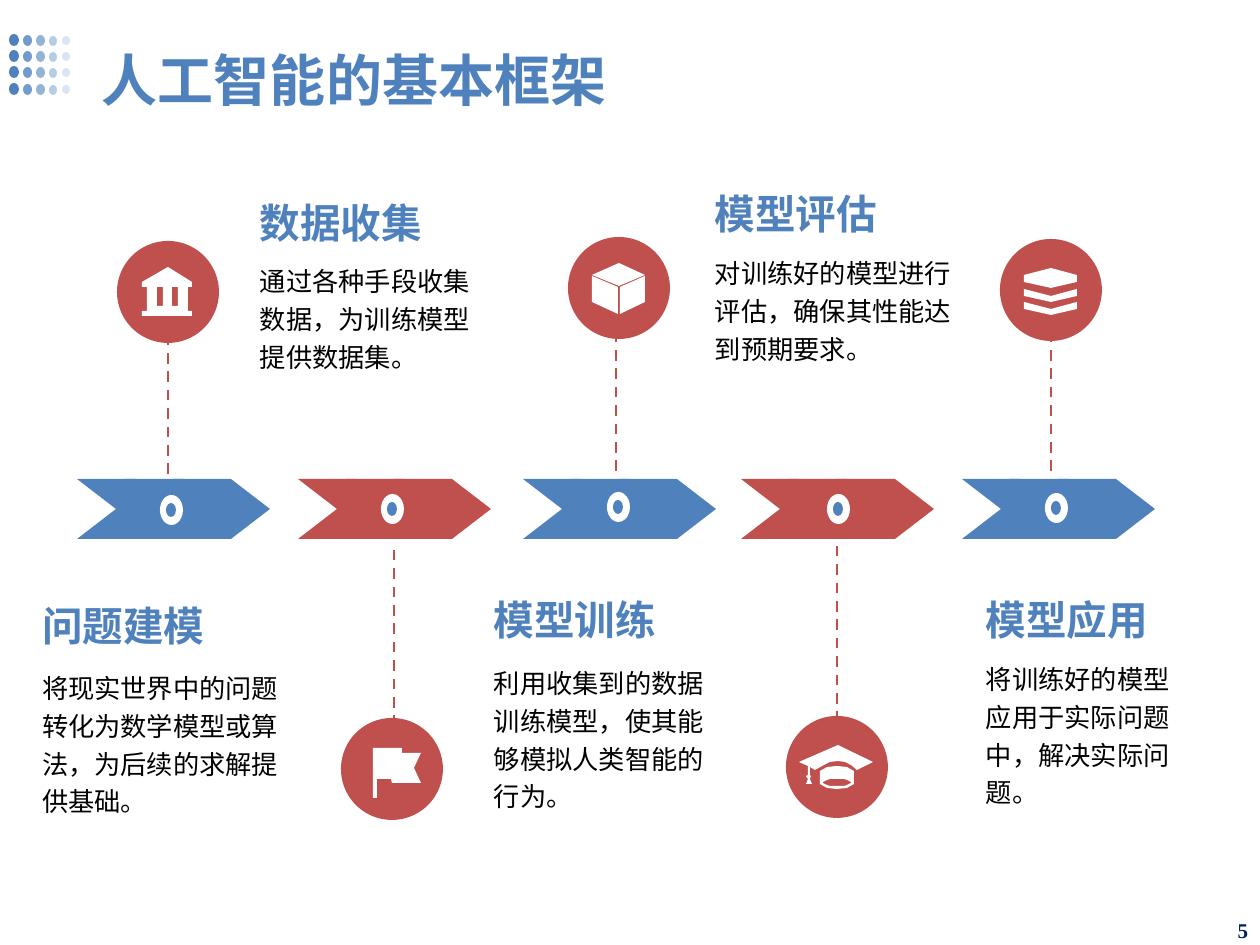
from math import cos, pi, sin

from pptx import Presentation
from pptx.dml.color import RGBColor
from pptx.enum.dml import MSO_LINE
from pptx.enum.shapes import MSO_CONNECTOR, MSO_SHAPE
from pptx.enum.text import MSO_ANCHOR, MSO_AUTO_SIZE, PP_ALIGN
from pptx.oxml.xmlchemy import OxmlElement
from pptx.util import Inches, Pt

PX = 7257  # EMU in one px, 126 px to the inch
BLUE, RED, WHITE, BLACK, NAVY = "4F81BD", "C0504D", "FFFFFF", "000000", "002060"
SANS = "Noto Sans CJK SC"

presentation = Presentation()
presentation.slide_width, presentation.slide_height = Inches(10), Inches(7.5)
slide = presentation.slides.add_slide(presentation.slide_layouts[6])
shapes = slide.shapes


def paint(shape, color, opacity=100):
    """Give the shape a plain fill with no line and no shadow."""
    shape.shadow.inherit = False
    shape.line.fill.background()
    shape.fill.solid()
    shape.fill.fore_color.rgb = RGBColor.from_string(color)
    if opacity < 100:
        alpha = OxmlElement("a:alpha")
        alpha.set("val", str(opacity * 1000))
        shape.fill._xPr.solidFill[0].append(alpha)


def add_text(box, text, size, color, bold=False, spacing=1.2, font_name=SANS,
             insets=(18, 18, 8, 18)):
    shape = shapes.add_textbox(*[value * PX for value in box])
    frame = shape.text_frame
    frame.word_wrap = True
    frame.margin_left, frame.margin_top, frame.margin_right, frame.margin_bottom = [
        inset * PX for inset in insets]
    paragraph = frame.paragraphs[0]
    paragraph.text = text
    paragraph.line_spacing = spacing
    font = paragraph.font
    font.size, font.bold, font.name = Pt(size), bold, font_name
    font.color.rgb = RGBColor.from_string(color)
    east_asian = OxmlElement("a:ea")
    east_asian.set("typeface", font_name)
    font._rPr.append(east_asian)
    return frame


# Page number and title
number_frame = add_text((977, 917, 284, 28), "5", 12, NAVY, True, 1.0,
                        "Times New Roman", (13, 5, 13, 6))
number_frame.vertical_anchor = MSO_ANCHOR.MIDDLE
number_frame.paragraphs[0].alignment = PP_ALIGN.RIGHT
add_text((84, 1, 1176, 120), "人工智能的基本框架", 32, BLUE, True, 1.4)

# Fading grid of dots
dot_columns = [(9, 34, 10, 12), (23, 35, 9, 11), (36, 35, 9, 11), (49, 36, 8, 10), (62, 36, 8, 9)]
for row in range(4):
    for column, (left, top, width, height) in enumerate(dot_columns):
        dot = shapes.add_shape(MSO_SHAPE.OVAL, left * PX, (top + 49 * row // 3) * PX,
                               width * PX, height * PX)
        paint(dot, BLUE, 100 - 20 * column)

# Headings and descriptions: left, heading top, heading width, body top, width, height
texts = [
    ("问题建模", "将现实世界中的问题转化为数学模型或算法，为后续的求解提供基础。",
     24, 573, 399, 648, 286, 184),
    ("数据收集", "通过各种手段收集数据，为训练模型提供数据集。",
     242, 170, 336, 241, 255, 146),
    ("模型训练", "利用收集到的数据训练模型，使其能够模拟人类智能的行为。",
     476, 567, 281, 643, 248, 184),
    ("模型评估", "对训练好的模型进行评估，确保其性能达到预期要求。",
     697, 161, 300, 233, 284, 146),
    ("模型应用", "将训练好的模型应用于实际问题中，解决实际问题。",
     968, 567, 229, 639, 217, 184),
]
for heading, body, left, heading_top, heading_width, body_top, body_width, body_height in texts:
    for frame in (
        add_text((left, heading_top, heading_width, 88), heading, 23.2, BLUE, True),
        add_text((left, body_top, body_width, body_height), body, 15, BLACK),
    ):
        frame.auto_size = MSO_AUTO_SIZE.SHAPE_TO_FIT_TEXT

# Icon contours, measured from the top left of their circle
bank_blocks = [(25, 70, 75, 75), (30, 65, 71, 70),
               (30, 46, 40, 65), (46, 46, 55, 65), (61, 46, 71, 65)]
bank = [[(25, 41), (51, 26), (75, 41), (75, 46), (25, 46)]] + [
    [(left, top), (right, top), (right, bottom), (left, bottom)]
    for left, top, right, bottom in bank_blocks]
flag = [[(50, 61), (36, 61), (36, 80), (32, 80), (32, 30), (61, 30), (61, 35),
         (80, 35), (73, 50), (80, 65), (51, 65)]]
cube = [[(51, 26), (24, 38), (51, 49), (77, 38)],
        [(52, 50), (52, 77), (77, 65), (77, 39)],
        [(24, 65), (50, 77), (50, 50), (24, 39)]]
cap = [
    [(71, 54), (65, 49), (59, 46), (52, 45), (44, 46), (38, 49), (29, 54), (24, 51),
     (24, 59), (25, 60), (24, 63), (26, 68), (20, 68), (22, 63), (20, 60), (22, 59),
     (22, 50), (13, 46), (52, 29), (87, 46)],
    [(51, 50), (61, 51), (68, 55), (68, 68), (61, 72), (51, 73), (41, 72), (34, 68),
     (34, 55), (41, 51)],
    [(51 + 14 * cos(step * pi / 12), 66.5 + 3.5 * sin(step * pi / 12)) for step in range(24)],
]
layers = [[(24, 36), (51, 29), (77, 36), (77, 43), (51, 49), (24, 43)]] + [
    [(24, top), (51, top + 7), (77, top), (77, top + 7), (51, top + 13), (24, top + 7)]
    for top in (50, 63)]
chevron = [[(0, 0), (58, 0), (97, 30), (58, 60), (0, 60), (39, 30)]]

# Stages: arrow left, colour, circle corner, line x and ends, marker corner, icon
stages = [
    (77, BLUE, (117, 241), (168, 474, 340), (160, 495), bank),
    (298, RED, (341, 718), (394, 726, 549), (381, 494), flag),
    (523, BLUE, (568, 237), (616, 471, 339), (607, 492), cube),
    (741, RED, (786, 716), (837, 722, 545), (827, 494), cap),
    (962, BLUE, (1000, 239), (1051, 471, 339), (1045, 493), layers),
]
for arrow_left, color, circle_corner, (line_x, start, end), marker_corner, icon in stages:
    connector = shapes.add_connector(MSO_CONNECTOR.STRAIGHT, line_x * PX, start * PX,
                                     line_x * PX, end * PX)
    connector.line.color.rgb = RGBColor.from_string(RED)
    connector.line.width = Pt(1.5)
    connector.line.dash_style = MSO_LINE.DASH
    connector._element.spPr.append(OxmlElement("a:effectLst"))

    circle_left, circle_top = circle_corner
    marker_left, marker_top = marker_corner
    for left, top, width, height, fill in (
        (circle_left, circle_top, 102, 102, RED),
        (marker_left, marker_top, 23, 30, WHITE),
        (marker_left + 6, marker_top + 8, 10, 14, BLUE),
    ):
        if fill == WHITE:
            # The arrow and icon lie above the circle and below the marker
            outlines = [(arrow_left + 48 * step, 479, chevron, color) for step in range(3)]
            outlines.append((circle_left, circle_top, icon, WHITE))
            for outline_left, outline_top, contours, outline_color in outlines:
                builder = shapes.build_freeform(*contours[0][0], scale=PX)
                for index, contour in enumerate(contours):
                    if index:
                        builder.move_to(*contour[0])
                    builder.add_line_segments(contour[1:], close=True)
                paint(builder.convert_to_shape(outline_left * PX, outline_top * PX),
                      outline_color)
        oval = shapes.add_shape(MSO_SHAPE.OVAL, left * PX, top * PX, width * PX, height * PX)
        paint(oval, fill)

presentation.save("out.pptx")
